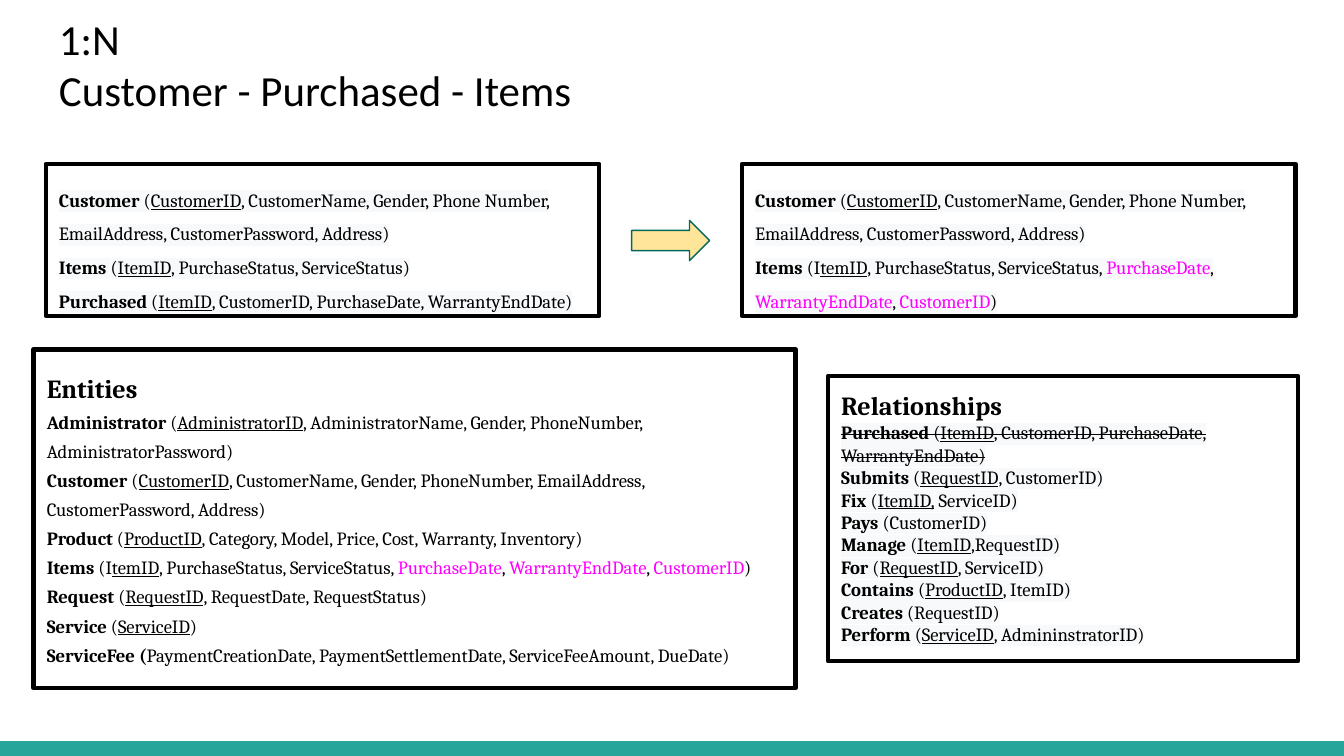
from lxml import etree
from pptx import Presentation
from pptx.dml.color import RGBColor
from pptx.enum.shapes import MSO_SHAPE
from pptx.enum.text import MSO_ANCHOR, PP_ALIGN
from pptx.oxml.ns import qn
from pptx.util import Inches, Pt

RECTANGLE = MSO_SHAPE.RECTANGLE
RIGHT_ARROW = MSO_SHAPE.RIGHT_ARROW
TOP = MSO_ANCHOR.TOP
LEFT = PP_ALIGN.LEFT

BLACK = RGBColor(0x00, 0x00, 0x00)
MAGENTA = RGBColor(0xFF, 0x00, 0xFF)
TEAL = RGBColor(0x26, 0xA6, 0x9A)
DARK_TEAL = RGBColor(0x00, 0x69, 0x5C)
YELLOW = RGBColor(0xFF, 0xE5, 0x99)
HIGHLIGHT = "F8F9FA"

WIDTH = 10
HEIGHT = WIDTH * 9 / 16
MARGIN = 0.34
FOOTER_HEIGHT = 0.11
SCHEMA_TOP, SCHEMA_WIDTH, SCHEMA_HEIGHT = 1.22, 4.12, 1.13


# Text content: a line is a list of (text, style) pairs, where the style
# letters are b = bold, u = underlined, m = magenta, s = struck through
def relation(name, key="", rest=")", opening="("):
    line = [(name + " ", "b"), (opening, ""), (key, "u"), (rest, "")]
    return [(text, style) for text, style in line if text]


def struck(line):
    return [(text, style + "s") for text, style in line]


CUSTOMER = relation("Customer", "CustomerID", ", CustomerName, Gender, Phone Number, "
                    "EmailAddress, CustomerPassword, Address)")
PURCHASED = relation("Purchased", "ItemID", ", CustomerID, PurchaseDate, WarrantyEndDate)")
MERGED_ITEMS = relation("Items", "temID", ", PurchaseStatus, ServiceStatus, ", "(I") + [
    ("PurchaseDate", "m"), (", ", ""), ("WarrantyEndDate", "m"), (", ", ""),
    ("CustomerID", "m"), (")", "")]

BEFORE = [
    CUSTOMER,
    relation("Items", "ItemID", ", PurchaseStatus, ServiceStatus)"),
    PURCHASED,
]
AFTER = [CUSTOMER, MERGED_ITEMS]
ENTITIES = [
    relation("Administrator", "AdministratorID",
             ", AdministratorName, Gender, PhoneNumber, AdministratorPassword)"),
    relation("Customer", "CustomerID", ", CustomerName, Gender, PhoneNumber, "
             "EmailAddress, CustomerPassword, Address)"),
    relation("Product", "ProductID", ", Category, Model, Price, Cost, Warranty, Inventory)"),
    MERGED_ITEMS,
    relation("Request", "RequestID", ", RequestDate, RequestStatus)"),
    relation("Service", "ServiceID"),
    [("ServiceFee (", "b"),
     ("PaymentCreationDate, PaymentSettlementDate, ServiceFeeAmount, DueDate)", "")],
]
RELATIONSHIPS = [
    struck(PURCHASED),
    relation("Submits", "RequestID", ", CustomerID)"),
    relation("Fix", "ItemID,", " ServiceID)"),
    relation("Pays", rest="(CustomerID)", opening=""),
    relation("Manage", "ItemID", ",RequestID)"),
    relation("For", "RequestID", ", ServiceID)"),
    relation("Contains", "ProductID", ", ItemID)"),
    relation("Creates", rest="(RequestID)", opening=""),
    relation("Perform", "ServiceID", ", AdmininstratorID)"),
]


def add_shape(page, kind, area, fill=None, line=None, line_width=0):
    shape = page.shapes.add_shape(kind, *[Inches(length) for length in area])
    shape.shadow.inherit = False
    if fill is None:
        shape.fill.background()
    else:
        shape.fill.solid()
        shape.fill.fore_color.rgb = fill
    if line is None:
        shape.line.fill.background()
    else:
        shape.line.color.rgb = line
        shape.line.width = Pt(line_width)
    return shape


def prepare_frame(shape):
    frame = shape.text_frame
    frame.word_wrap = True
    frame.vertical_anchor = TOP
    frame.margin_left = frame.margin_right = Inches(0.1)
    frame.margin_top = frame.margin_bottom = Inches(0.1)
    return frame


def add_span(para, text, style, font, size, highlighted=False):
    span = para.add_run()
    span.text = text
    span.font.size = Pt(size)
    span.font.bold = "b" in style
    span.font.underline = "u" in style
    span.font.color.rgb = MAGENTA if "m" in style else BLACK
    span.font.name = font
    properties = span.font._element
    if "s" in style:
        properties.set("strike", "sngStrike")
    if highlighted:
        highlight = etree.Element(qn("a:highlight"))
        etree.SubElement(highlight, qn("a:srgbClr"), val=HIGHLIGHT)
        properties.find(qn("a:solidFill")).addnext(highlight)


def add_schema_box(page, area, lines, spacing, heading="", highlighted=True):
    box = add_shape(page, RECTANGLE, area, line=BLACK, line_width=2.25)
    frame = prepare_frame(box)
    headings = [[(heading, "b")]] if heading else []
    for index, line in enumerate(headings + lines):
        para = frame.add_paragraph() if index else frame.paragraphs[0]
        para.alignment = LEFT
        para.line_spacing = spacing
        is_heading = index < len(headings)
        for text, style in line:
            add_span(para, text, style, "Cambria", 14 if is_heading else 10,
                     highlighted and not is_heading)


def add_title(page, text):
    box = page.shapes.add_textbox(Inches(MARGIN), Inches(-0.01),
                                  Inches(WIDTH - 2 * MARGIN), Inches(0.99))
    frame = prepare_frame(box)
    frame.text = text
    for para in frame.paragraphs:
        for span in para.runs:
            span.font.name = "Calibri"
            span.font.size = Pt(23)
            span.font.color.rgb = BLACK


def main():
    deck = Presentation()
    deck.slide_width, deck.slide_height = Inches(WIDTH), Inches(HEIGHT)
    page = deck.slides.add_slide(deck.slide_layouts[6])

    # Footer band and title
    add_shape(page, RECTANGLE, (0, HEIGHT - FOOTER_HEIGHT, WIDTH, FOOTER_HEIGHT), fill=TEAL)
    add_title(page, "1:N\nCustomer - Purchased - Items")

    # Schema before and after the merge, with an arrow between
    for left, lines in ((MARGIN, BEFORE), (5.52, AFTER)):
        add_schema_box(page, (left, SCHEMA_TOP, SCHEMA_WIDTH, SCHEMA_HEIGHT), lines, 1.5)
    add_shape(page, RIGHT_ARROW, (4.7, 1.64, 0.58, 0.3), YELLOW, DARK_TEAL, 0.75)

    # Full schema
    add_schema_box(page, (0.25, 2.6, 5.67, 2.52), ENTITIES, 1.3, "Entities", False)
    add_schema_box(page, (6.16, 2.8, 3.5, 2.12), RELATIONSHIPS, 1.0, "Relationships")

    deck.save("out.pptx")


if __name__ == "__main__":
    main()
